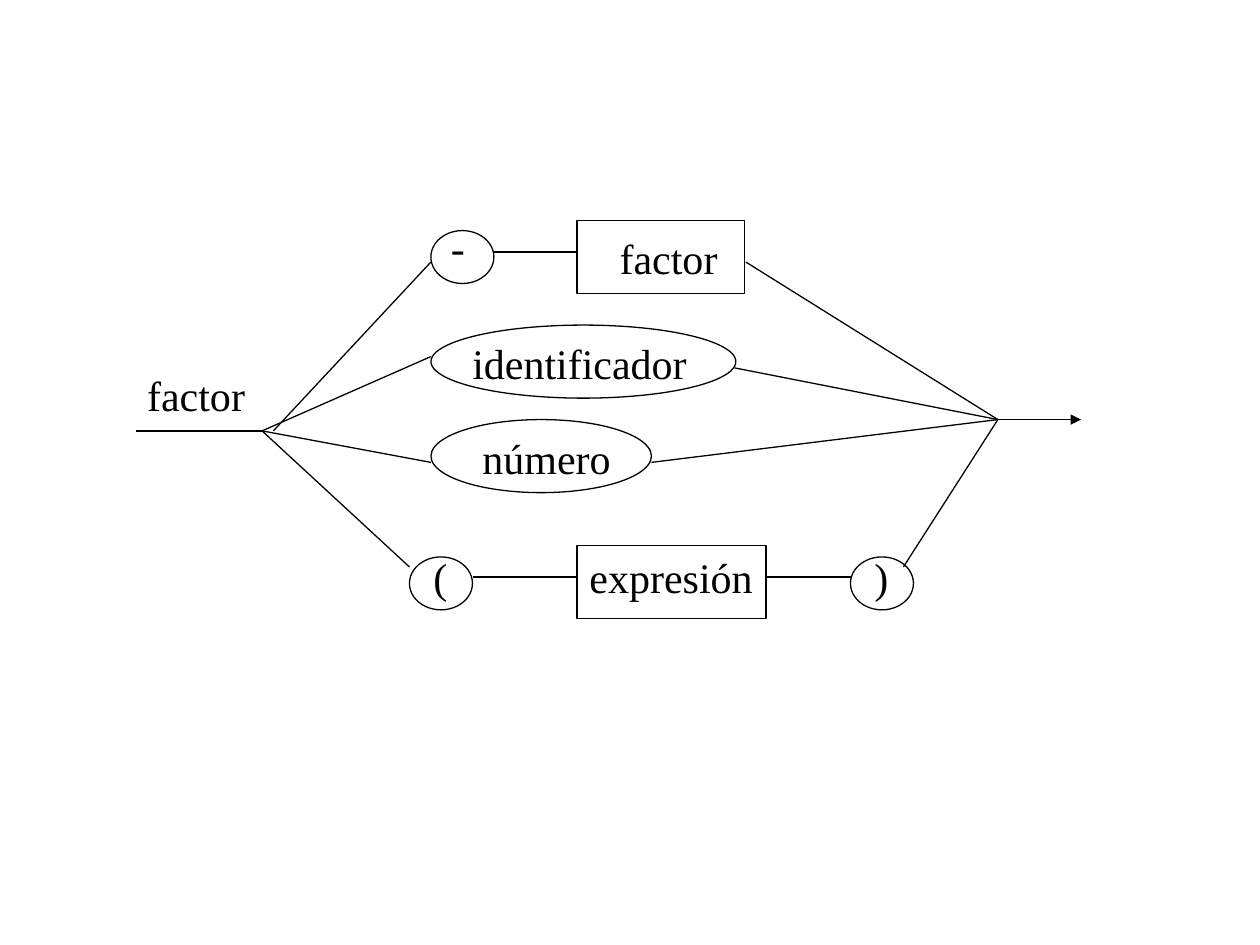
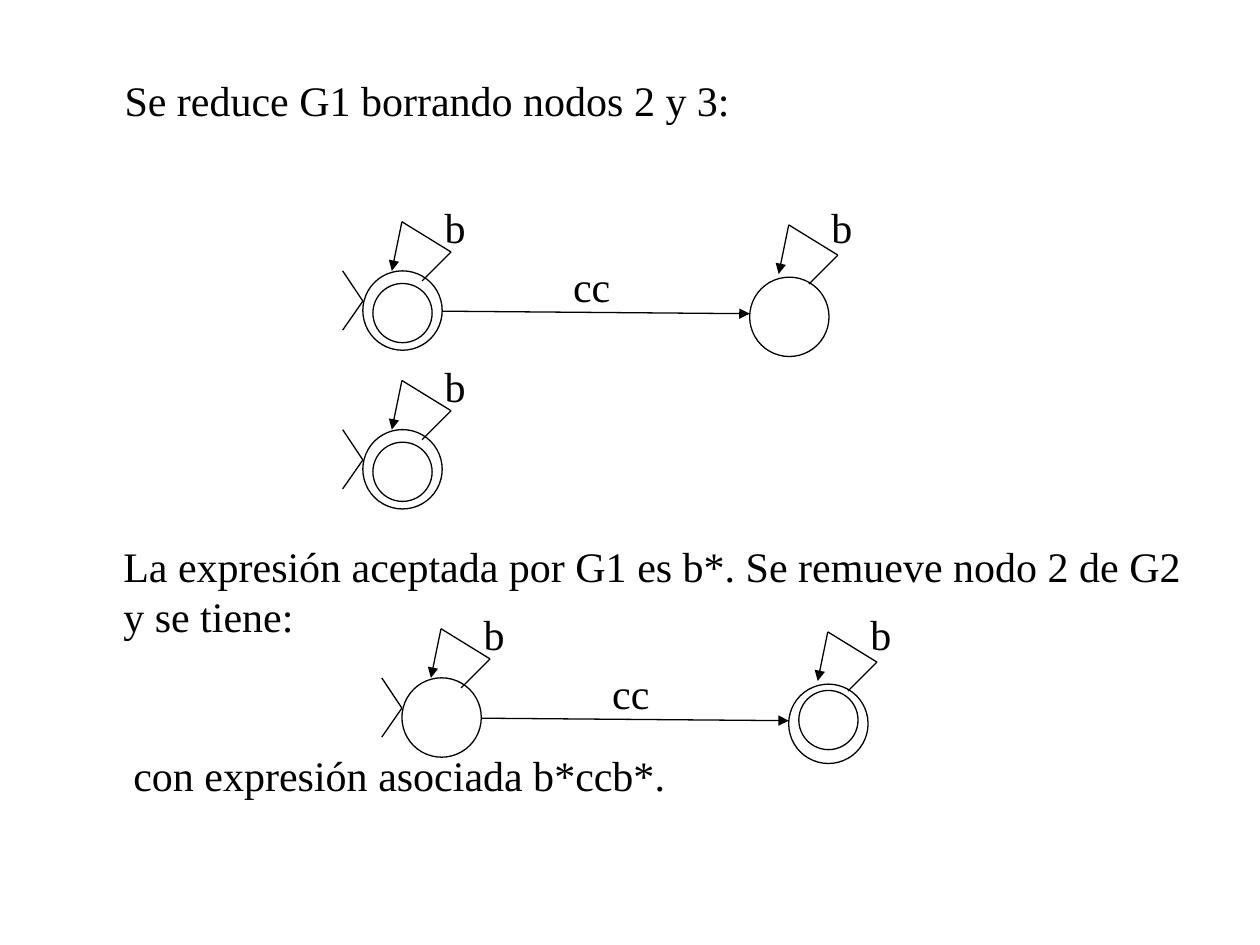
from itertools import pairwise

from pptx import Presentation
from pptx.dml.color import RGBColor
from pptx.enum.shapes import MSO_CONNECTOR, MSO_SHAPE
from pptx.enum.text import MSO_AUTO_SIZE
from pptx.oxml.ns import qn
from pptx.util import Inches, Pt
from lxml.etree import SubElement

INK = "000000"
FONT_FORMAT = {"name": "Times New Roman", "size": Pt(24)}
FRAME_FORMAT = {
    "word_wrap": False,
    "auto_size": MSO_AUTO_SIZE.SHAPE_TO_FIT_TEXT,
    "margin_right": Inches(0.05),
}
STROKE_WIDTH = Pt(0.75)
LINE_HEIGHT = 0.5
NODE_HEIGHT = 0.58
TOKEN_SIZE = (0.5, 0.42)
STATE_SIZE = 0.63
ACCEPT_SIZE = 0.47
STATE_GAP = 3.07


def apply_format(target, values):
    for attribute, value in values.items():
        setattr(target, attribute, value)


def set_color(color_format, hex_color):
    color_format.rgb = RGBColor.from_string(hex_color)


def set_stroke(line):
    set_color(line.color, INK)
    line.width = STROKE_WIDTH


def add_label(canvas, text, left, top, width, height=LINE_HEIGHT):
    label = canvas.add_textbox(*map(Inches, (left, top, width, height)))
    frame = label.text_frame
    apply_format(frame, FRAME_FORMAT)
    frame.text = text
    for paragraph in frame.paragraphs:
        for run in paragraph.runs:
            apply_format(run.font, FONT_FORMAT)
            set_color(run.font.color, INK)


def add_outline(canvas, kind, left, top, width, height):
    outline = canvas.add_shape(kind, *map(Inches, (left, top, width, height)))
    outline.shadow.inherit = False
    outline.fill.background()
    set_stroke(outline.line)


def add_edge(canvas, start, end, arrow=False):
    edge = canvas.add_connector(MSO_CONNECTOR.STRAIGHT, *map(Inches, (*start, *end)))
    set_stroke(edge.line)
    properties = edge._element.spPr
    if arrow:
        SubElement(properties.find(qn("a:ln")), qn("a:tailEnd"), type="triangle")
    SubElement(properties, qn("a:effectLst"))


def add_circle(canvas, left, top, size):
    add_outline(canvas, MSO_SHAPE.OVAL, left, top, size, size)


def add_state(canvas, left, top, drop=0, initial=False, accepting=False):
    add_circle(canvas, left, top + drop, STATE_SIZE)
    loop_top = top + drop / 2
    loop = [(left + dx, loop_top + dy)
            for dx, dy in ((0.47, 0.08), (0.7, -0.15), (0.31, -0.39), (0.23, 0))]
    for index, (start, end) in enumerate(pairwise(loop)):
        add_edge(canvas, start, end, arrow=index == 2)
    add_label(canvas, "b", left + 0.55, top - 0.6, 0.36)
    if initial:
        for dy in (0, 0.47):
            add_edge(canvas, (left, top + 0.24), (left - 0.16, top + dy))
    if accepting:
        add_circle(canvas, left + 0.08, top + 0.1, ACCEPT_SIZE)


def add_automaton(slide, left, top, accepting_start):
    canvas = slide.shapes.add_group_shape().shapes
    target = left + STATE_GAP
    add_state(canvas, left, top, initial=True, accepting=accepting_start)
    add_state(canvas, target, top, drop=0.05, accepting=not accepting_start)
    add_edge(canvas, (left + STATE_SIZE, top + 0.32), (target, top + 0.34), arrow=True)
    add_label(canvas, "cc", left + 1.57, top - 0.13, 0.49)


def build_factor_syntax(slide):
    canvas = slide.shapes
    fork, join = (2.08, 3.42), (7.92, 3.33)
    add_edge(canvas, (1.08, 3.42), fork)
    add_edge(canvas, (2.17, 3.42), (3.42, 2.08))
    for branch_start in ((3.42, 2.83), (3.42, 3.67), (3.25, 4.5)):
        add_edge(canvas, fork, branch_start)
    for branch_end in ((5.92, 2.08), (5.83, 2.92), (5.17, 3.67), (7.17, 4.5)):
        add_edge(canvas, branch_end, join)
    add_edge(canvas, join, (8.58, 3.33), arrow=True)
    for left, right, level in ((3.92, 4.58, 2), (3.75, 4.58, 4.58), (6.08, 6.75, 4.58)):
        add_edge(canvas, (left, level), (right, level))

    for left, top in ((3.42, 1.83), (3.25, 4.42), (6.75, 4.42)):
        add_outline(canvas, MSO_SHAPE.OVAL, left, top, *TOKEN_SIZE)
    for kind, left, top, width in (
        (MSO_SHAPE.RECTANGLE, 4.58, 1.75, 1.33),
        (MSO_SHAPE.OVAL, 3.42, 2.58, 2.42),
        (MSO_SHAPE.OVAL, 3.42, 3.33, 1.75),
        (MSO_SHAPE.RECTANGLE, 4.58, 4.33, 1.5),
    ):
        add_outline(canvas, kind, left, top, width, NODE_HEIGHT)

    for text, left, top, width in (
        ("factor", 1.07, 2.88, 0.97),
        ("-", 3.48, 1.71, 0.31),
        ("factor", 4.82, 1.8, 0.97),
        ("identificador", 3.65, 2.63, 1.9),
        ("número", 3.73, 3.38, 1.22),
        ("(", 3.34, 4.33, 0.31),
        ("expresión", 4.58, 4.33, 1.49),
        (")", 6.84, 4.33, 0.31),
    ):
        add_label(canvas, text, left, top, width)


def build_graph_reduction(slide):
    canvas = slide.shapes
    add_label(canvas, "Se reduce G1 borrando nodos 2 y 3:", 0.89, 0.54, 5)
    add_automaton(slide, 2.88, 2.15, accepting_start=True)
    add_state(canvas, 2.88, 3.41, initial=True, accepting=True)
    add_label(
        canvas,
        "La expresión aceptada por G1 es b*. Se remueve nodo 2 de G2\ny se tiene:",
        0.88, 4.24, 8.59, 0.9,
    )
    add_automaton(slide, 3.19, 5.38, accepting_start=False)
    add_label(canvas, "con expresión asociada b*ccb*.", 0.96, 5.9, 4.42)


def main():
    deck = Presentation()
    apply_format(deck, {"slide_width": Inches(10), "slide_height": Inches(7.5)})
    blank = deck.slide_layouts[6]
    for build in (build_factor_syntax, build_graph_reduction):
        build(deck.slides.add_slide(blank))
    deck.save("out.pptx")


if __name__ == "__main__":
    main()
